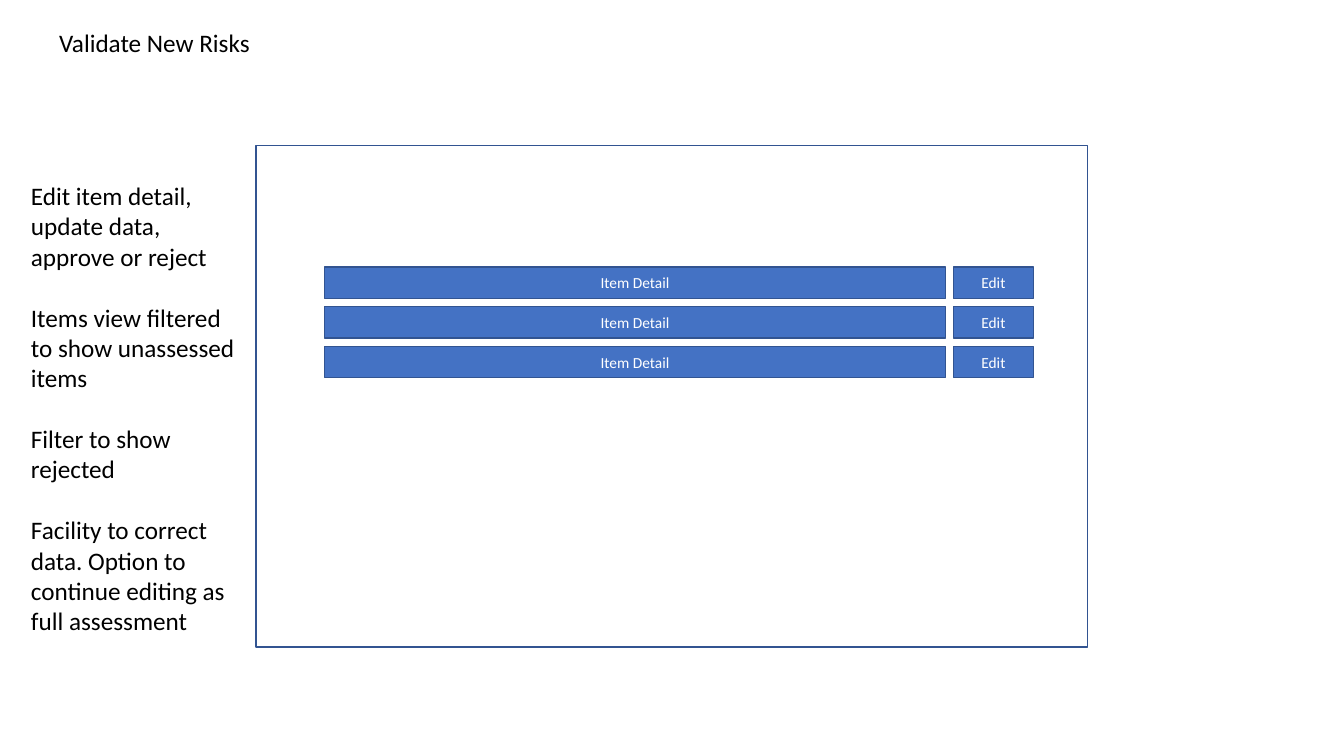
"""Build the Validate New Risks wireframe slide."""
from pptx import Presentation
from pptx.dml.color import RGBColor
from pptx.enum.shapes import MSO_SHAPE
from pptx.enum.text import MSO_ANCHOR, PP_ALIGN
from pptx.util import Cm, Pt

RECTANGLE = MSO_SHAPE.RECTANGLE
MIDDLE = MSO_ANCHOR.MIDDLE
CENTER = PP_ALIGN.CENTER
BLACK = RGBColor(0x00, 0x00, 0x00)
WHITE = RGBColor(0xFF, 0xFF, 0xFF)
BLUE = RGBColor(0x44, 0x72, 0xC4)
DARK_BLUE = RGBColor(0x32, 0x54, 0x91)

ROW_COUNT = 3
ROW_TOP, ROW_PITCH, ROW_HEIGHT = 6.73, 1.0, 0.79
COLUMNS = [("Item Detail", 8.18, 15.65), ("Edit", 24.03, 2.01)]
TITLE = ["Validate New Risks"]
NOTES = [
    "Edit item detail, update data, approve or reject",
    "Items view filtered to show unassessed items",
    "Filter to show rejected",
    "Facility to correct data. Option to continue editing as full assessment",
]


def add_box(left, top, width, height):
    box = slide.shapes.add_shape(RECTANGLE, Cm(left), Cm(top), Cm(width), Cm(height))
    box.shadow.inherit = False
    box.line.color.rgb = DARK_BLUE
    box.line.width = Pt(1)
    return box


def add_text(paragraph, text, size, color):
    run = paragraph.add_run()
    run.text = text
    run.font.name = "Calibri"
    run.font.size = Pt(size)
    run.font.color.rgb = color


prs = Presentation()
prs.slide_width, prs.slide_height = Cm(33.87), Cm(19.05)
slide = prs.slides.add_slide(prs.slide_layouts[6])

screen_frame = add_box(6.45, 3.66, 20.96, 12.65)
screen_frame.fill.background()

for row in range(ROW_COUNT):
    for label, left, width in COLUMNS:
        button = add_box(left, ROW_TOP + row * ROW_PITCH, width, ROW_HEIGHT)
        button.fill.solid()
        button.fill.fore_color.rgb = BLUE
        button.text_frame.vertical_anchor = MIDDLE
        caption = button.text_frame.paragraphs[0]
        caption.alignment = CENTER
        add_text(caption, label, 11, WHITE)

for texts, left, top, width, height in [
    (TITLE, 1.24, 0.56, 6.93, 1.02),
    (NOTES, 0.53, 4.42, 5.66, 11.79),
]:
    frame = slide.shapes.add_textbox(Cm(left), Cm(top), Cm(width), Cm(height)).text_frame
    frame.word_wrap = True
    for index, text in enumerate(texts):
        paragraph = frame.add_paragraph() if index else frame.paragraphs[0]
        paragraph.space_before = Pt(22 if index else 0)
        add_text(paragraph, text, 18, BLACK)

prs.save("out.pptx")
